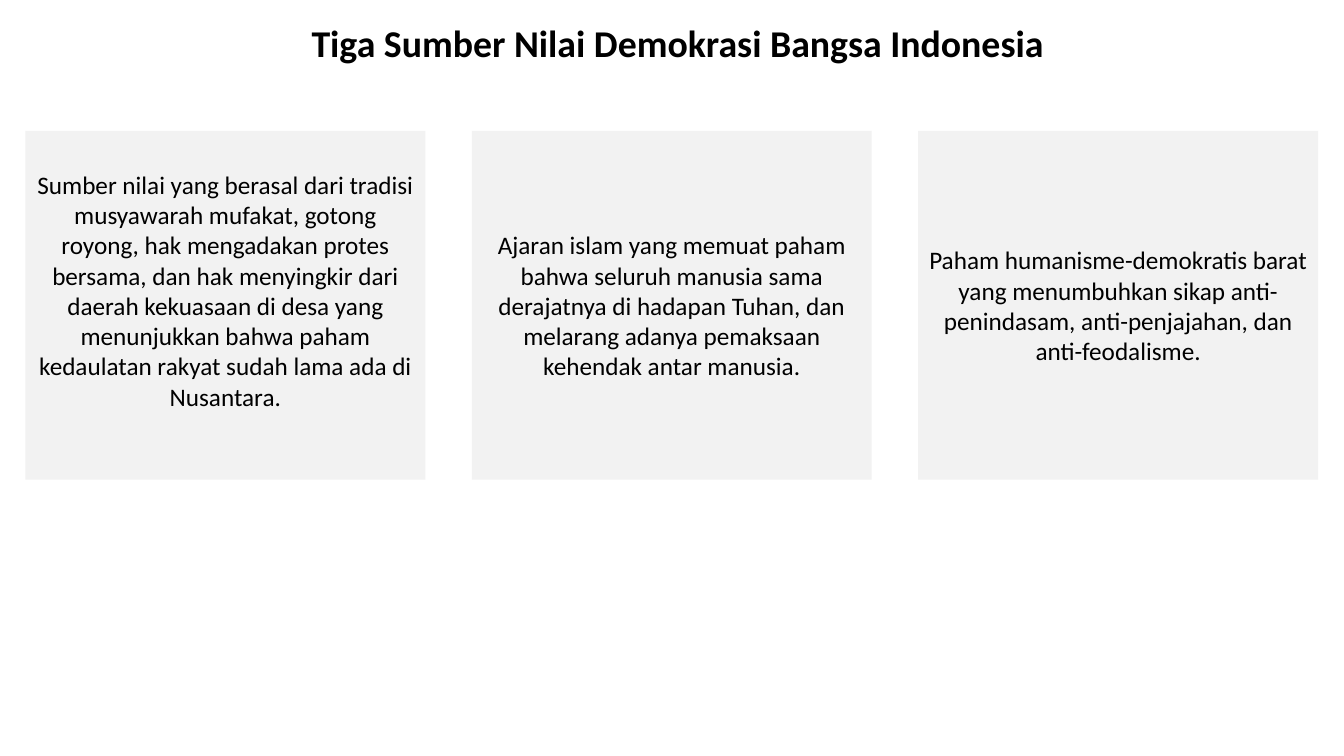
"""Build a slide on the three sources of Indonesian democratic values."""
from pptx import Presentation
from pptx.dml.color import RGBColor
from pptx.enum.shapes import MSO_SHAPE
from pptx.enum.text import MSO_ANCHOR, MSO_AUTO_SIZE, PP_ALIGN
from pptx.util import Cm, Pt

COLORS = {"text": "000000", "panel": "F2F2F2"}
BOX_LEFT, BOX_TOP, BOX_WIDTH, BOX_HEIGHT = 0.64, 3.3, 10.08, 8.79
BOX_PITCH = 11.25
BOTTOM_MARGIN = 0.13
LINE_HEIGHT = 0.76

SOURCES = [
    ("Sumber nilai yang berasal dari tradisi musyawarah mufakat, gotong royong, "
     "hak mengadakan protes bersama, dan hak menyingkir dari daerah kekuasaan di desa "
     "yang menunjukkan bahwa paham kedaulatan rakyat sudah lama ada di Nusantara.",
     BOTTOM_MARGIN + LINE_HEIGHT),
    ("Ajaran islam yang memuat paham bahwa seluruh manusia sama derajatnya di hadapan "
     "Tuhan, dan melarang adanya pemaksaan kehendak antar manusia.", BOTTOM_MARGIN),
    ("Paham humanisme-demokratis barat yang menumbuhkan sikap anti-penindasam, "
     "anti-penjajahan, dan anti-feodalisme.", BOTTOM_MARGIN),
]


def write_text(shape, text, size, bold=False):
    """Set centred text in a shape and format its run."""
    shape.text_frame.text = text
    paragraph = shape.text_frame.paragraphs[0]
    paragraph.alignment = PP_ALIGN.CENTER
    font = paragraph.runs[0].font
    font.name = "Calibri"
    font.size = Pt(size)
    font.bold = bold
    font.color.rgb = RGBColor.from_string(COLORS["text"])


presentation = Presentation()
presentation.slide_width = Cm(33.87)
presentation.slide_height = Cm(19.05)
slide = presentation.slides.add_slide(presentation.slide_layouts[5])

title = slide.shapes.title
title.left, title.top, title.width, title.height = Cm(7.49), Cm(0.36), Cm(19.18), Cm(1.42)
write_text(title, "Tiga Sumber Nilai Demokrasi Bangsa Indonesia", 27, bold=True)
title.text_frame.word_wrap = False
title.text_frame.auto_size = MSO_AUTO_SIZE.NONE
title.text_frame.vertical_anchor = MSO_ANCHOR.TOP

for index, (source_text, bottom_margin) in enumerate(SOURCES):
    box = slide.shapes.add_shape(
        MSO_SHAPE.RECTANGLE, Cm(BOX_LEFT + index * BOX_PITCH), Cm(BOX_TOP),
        Cm(BOX_WIDTH), Cm(BOX_HEIGHT))
    box.shadow.inherit = False
    box.fill.solid()
    box.fill.fore_color.rgb = RGBColor.from_string(COLORS["panel"])
    box.line.fill.background()
    write_text(box, source_text, 18)
    box.text_frame.word_wrap = True
    box.text_frame.vertical_anchor = MSO_ANCHOR.MIDDLE
    box.text_frame.margin_bottom = Cm(bottom_margin)

presentation.save("out.pptx")
